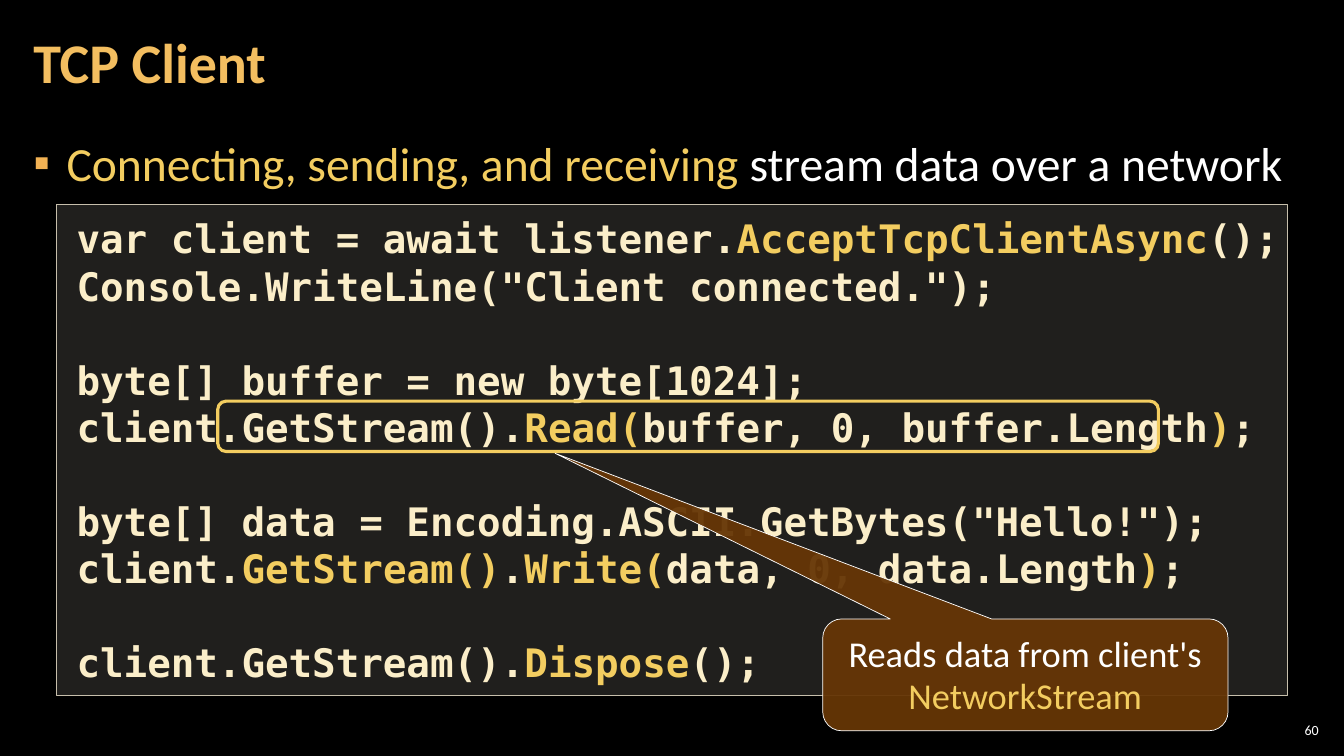
from lxml import etree
from pptx import Presentation
from pptx.dml.color import RGBColor
from pptx.enum.shapes import MSO_SHAPE
from pptx.enum.text import MSO_ANCHOR, MSO_AUTO_SIZE, PP_ALIGN
from pptx.oxml.ns import qn
from pptx.util import Emu, Pt

PX = 9144
LEFT, CENTER, RIGHT = PP_ALIGN.LEFT, PP_ALIGN.CENTER, PP_ALIGN.RIGHT
TOP, MIDDLE = MSO_ANCHOR.TOP, MSO_ANCHOR.MIDDLE
RECTANGLE, ROUNDED = MSO_SHAPE.RECTANGLE, MSO_SHAPE.ROUNDED_RECTANGLE
CALLOUT = MSO_SHAPE.ROUNDED_RECTANGULAR_CALLOUT

SANS, MONO = "Calibri", "DejaVu Sans Mono"
WHITE, GOLD, CREAM = "FFFFFF", "F3CD60", "FBEEC9"
CODE_SIZE = 28
CODE_LINE = 33.6

# Blocks of code lines; each line is a list of (text, colour) spans.
CODE_BLOCKS = [
    [
        [("var client = await listener.", CREAM), ("AcceptTcpClientAsync", GOLD), ("();", CREAM)],
        [('Console.WriteLine("Client connected.");', CREAM)],
    ],
    [
        [("byte[] buffer = new byte[1024];", CREAM)],
        [("client.GetStream().", CREAM), ("Read(", GOLD), ("buffer, 0, buffer.Length", CREAM),
         (")", GOLD), (";", CREAM)],
    ],
    [
        [('byte[] data = Encoding.ASCII.GetBytes("Hello!");', CREAM)],
        [("client.", CREAM), ("GetStream()", GOLD), (".", CREAM), ("Write(", GOLD),
         ("data, 0, data.Length", CREAM), (")", GOLD), (";", CREAM)],
    ],
    [
        [("client.GetStream().", CREAM), ("Dispose", GOLD), ("();", CREAM)],
    ],
]


def px(length):
    return Emu(length * PX)


def colour(value):
    return RGBColor.from_string(value)


def place(shape, box):
    shape.left, shape.top, shape.width, shape.height = map(px, box)


def set_frame(shape, insets, anchor):
    """Wrap the text and set horizontal and vertical insets; return the frame."""
    frame = shape.text_frame
    frame.word_wrap = True
    frame.auto_size = MSO_AUTO_SIZE.NONE
    frame.vertical_anchor = anchor
    frame.margin_left = frame.margin_right = px(insets[0])
    frame.margin_top = frame.margin_bottom = px(insets[1])
    return frame


def add_spans(para, spans, size, font=SANS, bold=False, align=LEFT, spacing=1.0,
              before=0, after=0):
    para.alignment = align
    para.line_spacing = spacing
    para.space_before, para.space_after = Pt(before), Pt(after)
    for text, text_colour in spans:
        span = para.add_run()
        span.text = text
        span.font.size, span.font.name, span.font.bold = Pt(size), font, bold
        span.font.color.rgb = colour(text_colour)


def indent(para, margin, first=0):
    properties = para._p.get_or_add_pPr()
    properties.set("marL", str(px(margin)))
    properties.set("indent", str(px(first)))
    return properties


def add_bullet(para, symbol, symbol_colour):
    properties = indent(para, 33, -33)
    holder = etree.SubElement(properties, qn("a:buClr"))
    etree.SubElement(holder, qn("a:srgbClr"), val=symbol_colour)
    etree.SubElement(properties, qn("a:buChar"), char=symbol)


def add_panel(page, kind, box, line, line_width, fill=None, opacity=100):
    panel = page.shapes.add_shape(kind, *map(px, box))
    panel.shadow.inherit = False
    panel.line.color.rgb = colour(line)
    panel.line.width = Pt(line_width)
    if fill:
        panel.fill.solid()
        panel.fill.fore_color.rgb = colour(fill)
        tint = panel._element.spPr.find(qn("a:solidFill"))[0]
        etree.SubElement(tint, qn("a:alpha"), val=str(opacity * 1000))
    else:
        panel.fill.background()
    return panel


def add_title(page, box):
    title = page.shapes.title
    place(title, box)
    frame = set_frame(title, (12, 4), MIDDLE)
    add_spans(frame.paragraphs[0], [("TCP Client", "F3BE60")], 40, bold=True, spacing=0.9)


def add_summary(page, box):
    body = page.placeholders[1]
    place(body, box)
    para = set_frame(body, (12, 4), TOP).paragraphs[0]
    add_bullet(para, "▪", "F2B254")
    spans = [("Connecting, sending, and receiving", GOLD),
             (" stream data over a network", WHITE)]
    add_spans(para, spans, 34, spacing=1.05, after=6)


def add_code(page, box):
    """Draw the code panel and the frame around its read call."""
    left, top, _, _ = box
    panel = add_panel(page, RECTANGLE, box, "C7BFAC", 1, "D9D5C7", 15)
    frame = set_frame(panel, (0, 8), MIDDLE)
    for block_index, block in enumerate(CODE_BLOCKS):
        for line_index, spans in enumerate(block):
            first = block_index == line_index == 0
            para = frame.paragraphs[0] if first else frame.add_paragraph()
            indent(para, 20)
            gap = CODE_LINE if block_index and line_index == 0 else 0
            add_spans(para, spans, CODE_SIZE, MONO, bold=True, before=gap)
    add_panel(page, ROUNDED, (left + 160, top + 195, 933, 50), GOLD, 2.25)


def add_callout(page, box):
    callout = add_panel(page, CALLOUT, box, WHITE, 0.5, "663606", 95)
    for index, value in enumerate((-1.16, -1.98, 0.17)):
        callout.adjustments[index] = value
    frame = set_frame(callout, (10, 8), MIDDLE)
    spans = [("Reads data from client's ", WHITE), ("NetworkStream", GOLD)]
    add_spans(frame.paragraphs[0], spans, 26, align=CENTER, spacing=Pt(30))


def add_page_number(page, box):
    number = page.shapes.add_textbox(*map(px, box))
    frame = set_frame(number, (4, 4), MIDDLE)
    add_spans(frame.paragraphs[0], [("60", WHITE)], 10, align=RIGHT)


def main():
    deck = Presentation()
    deck.slide_width, deck.slide_height = px(1333), px(750)
    page = deck.slides.add_slide(deck.slide_layouts[1])
    page.background.fill.solid()
    page.background.fill.fore_color.rgb = colour("000000")
    add_page_number(page, (1265, 714, 47, 21))
    add_summary(page, (21, 126, 1291, 609))
    add_title(page, (21, 4, 1047, 121))
    add_code(page, (56, 203, 1221, 487))
    add_callout(page, (816, 614, 402, 111))
    deck.save("out.pptx")


if __name__ == "__main__":
    main()
